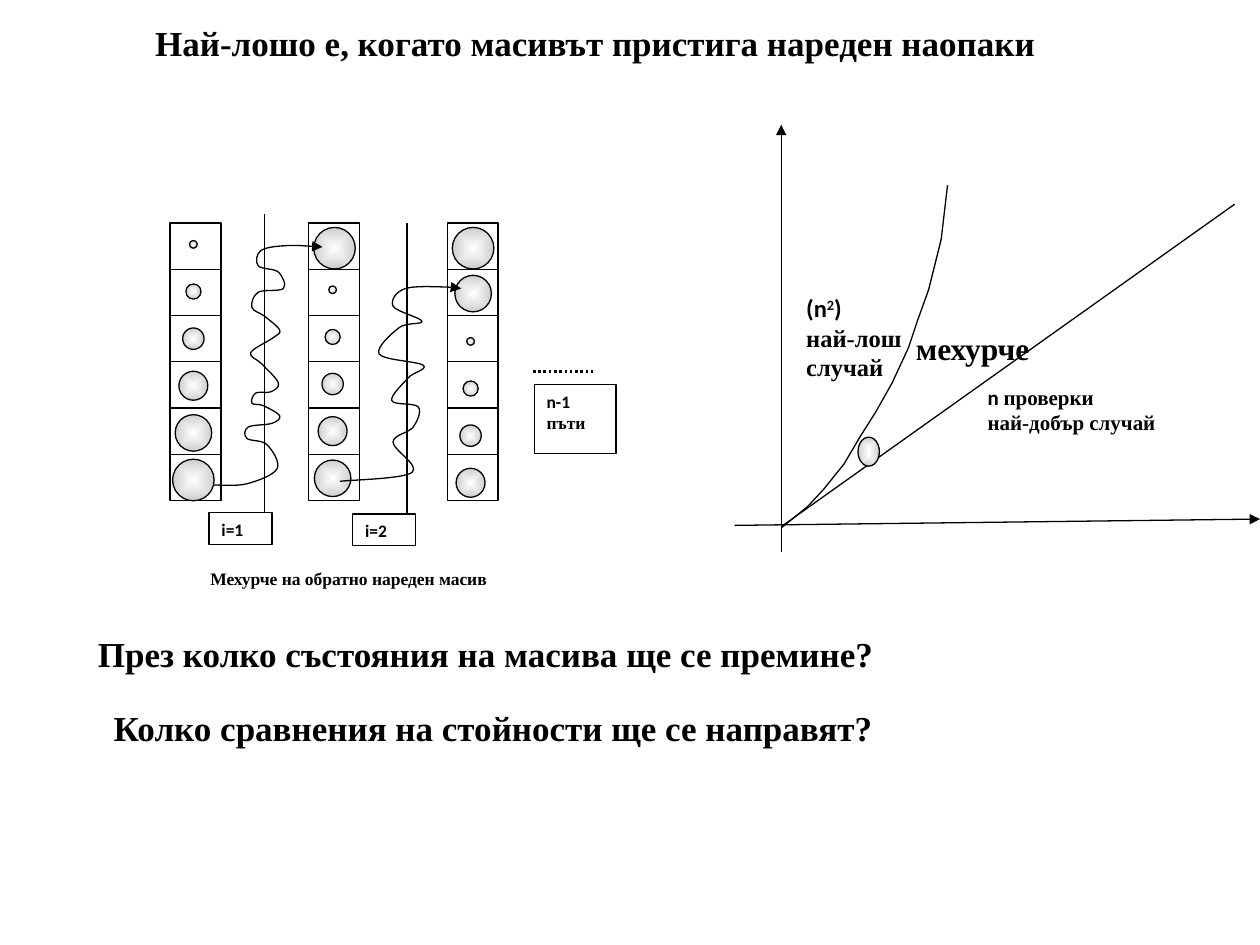
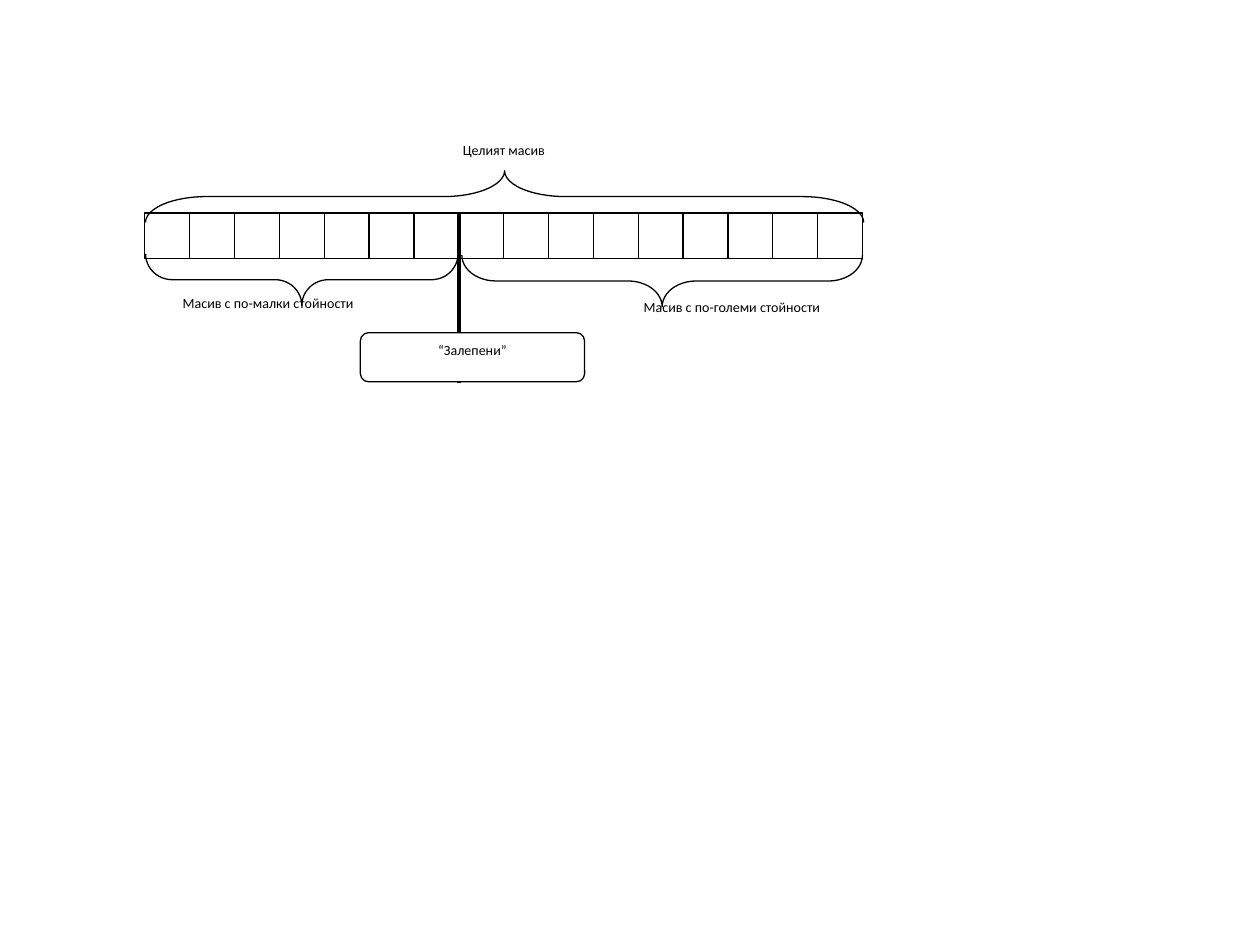
from lxml import etree
from pptx import Presentation
from pptx.dml.color import RGBColor
from pptx.enum.dml import MSO_LINE
from pptx.enum.shapes import MSO_CONNECTOR, MSO_SHAPE
from pptx.enum.text import MSO_ANCHOR, PP_ALIGN
from pptx.oxml.ns import qn
from pptx.util import Inches, Pt

LEFT, CENTER = PP_ALIGN.LEFT, PP_ALIGN.CENTER
TOP = MSO_ANCHOR.TOP
STRAIGHT = MSO_CONNECTOR.STRAIGHT
RECTANGLE = MSO_SHAPE.RECTANGLE
ROUNDED = MSO_SHAPE.ROUNDED_RECTANGLE
ELLIPSE = MSO_SHAPE.OVAL
BRACE = MSO_SHAPE.RIGHT_BRACE
DOTTED = MSO_LINE.ROUND_DOT

COLUMNS, ROWS = 100, 75
BLACK, WHITE, GRAY = "000000", "FFFFFF", "CECECE"
SERIF, SANS = "Times New Roman", "Calibri"


def color(value):
    return RGBColor.from_string(value)


def write(paragraph, text, font=SERIF, size=10, bold=True, baseline=0):
    run = paragraph.add_run()
    run.text = text
    run.font.name = font
    run.font.size = Pt(size)
    run.font.bold = bold
    run.font.color.rgb = color(BLACK)
    if baseline:
        run.font._element.set("baseline", str(baseline * 1000))


class Board:
    def __init__(self, presentation):
        self.presentation = presentation
        self.cell_width = presentation.slide_width / COLUMNS
        self.cell_height = presentation.slide_height / ROWS
        self.slide = None

    def new_slide(self):
        self.slide = self.presentation.slides.add_slide(self.presentation.slide_layouts[6])

    def place(self, column, row):
        return round(column * self.cell_width), round(row * self.cell_height)

    def stroke(self, line, width=0.75, dash=None, arrow=False):
        line.color.rgb = color(BLACK)
        line.width = Pt(width)
        if dash:
            line.dash_style = dash
        if arrow:
            etree.SubElement(line._get_or_add_ln(), qn("a:tailEnd"), type="triangle")

    def fill_text(self, frame, paragraphs, align=LEFT, wrap=True, **style):
        frame.word_wrap = wrap
        frame.vertical_anchor = TOP
        for index, runs in enumerate(paragraphs):
            paragraph = frame.add_paragraph() if index else frame.paragraphs[0]
            paragraph.alignment = align
            for text, changes in runs:
                write(paragraph, text, **{**style, **changes})

    def text(self, column, row, width, height, paragraphs, **style):
        box = self.slide.shapes.add_textbox(*self.place(column, row), *self.place(width, height))
        self.fill_text(box.text_frame, paragraphs, **style)

    def shape(self, kind, column, row, width, height, fill=WHITE, outlined=True):
        shape = self.slide.shapes.add_shape(
            kind, *self.place(column, row), *self.place(width, height))
        shape.shadow.inherit = False
        if fill:
            shape.fill.solid()
            shape.fill.fore_color.rgb = color(fill)
        else:
            shape.fill.background()
        if outlined:
            self.stroke(shape.line)
        else:
            shape.line.fill.background()
        return shape

    def box(self, column, row, width, height, paragraphs, kind=RECTANGLE, outlined=True, **style):
        shape = self.shape(kind, column, row, width, height, outlined=outlined)
        self.fill_text(shape.text_frame, paragraphs, **style)

    def heading(self, column, row, width, height, text, size=20):
        self.box(column, row, width, height, [[(text, {})]],
                 outlined=False, align=CENTER, size=size)

    def label(self, column, row, width, height, text):
        self.text(column, row, width, height, [[(text, {})]],
                  align=CENTER, font=SANS, size=8, bold=False)

    def cells(self, column, row, width, height, count, across=False):
        for index in range(count):
            self.shape(RECTANGLE, column + index * width * across,
                       row + index * height * (not across), width, height)

    def bubble(self, center_column, center_row, width, height):
        shape = self.shape(ELLIPSE, center_column - width / 2, center_row - height / 2,
                           width, height)
        shape.fill.gradient()
        for stop, value in zip(shape.fill.gradient_stops, (WHITE, GRAY)):
            stop.color.rgb = color(value)
        gradient = shape._element.spPr.find(qn("a:gradFill"))
        gradient.remove(gradient.find(qn("a:lin")))
        radial = etree.SubElement(gradient, qn("a:path"), {"path": "shape"})
        etree.SubElement(radial, qn("a:fillToRect"), l="50000", t="50000", r="50000", b="50000")

    def bubbles(self, center_column, center_row, diameters, step=3.74):
        for index, diameter in enumerate(diameters):
            self.bubble(center_column, center_row + index * step, diameter, diameter)

    def line(self, start, end, **style):
        connector = self.slide.shapes.add_connector(
            STRAIGHT, *self.place(*start), *self.place(*end))
        self.stroke(connector.line, **style)
        etree.SubElement(connector._element.spPr, qn("a:effectLst"))

    def polyline(self, points, **style):
        start, *rest = [self.place(*point) for point in points]
        builder = self.slide.shapes.build_freeform(*start)
        builder.add_line_segments(rest, close=False)
        shape = builder.convert_to_shape()
        shape.shadow.inherit = False
        shape.fill.background()
        self.stroke(shape.line, **style)
        return shape

    def curve(self, points, **style):
        geometry = self.polyline(points, **style)._element.spPr.find(qn("a:custGeom"))
        anchors = [(int(point.get("x")), int(point.get("y")))
                   for point in geometry.iter(qn("a:pt"))]
        padded = [anchors[0], *anchors, anchors[-1]]
        segments = list(geometry.iter(qn("a:lnTo")))
        for segment, before, start, end, after in zip(
                segments, padded, padded[1:], padded[2:], padded[3:]):
            first = [s + (e - b) / 6 for b, s, e in zip(before, start, end)]
            second = [e - (a - s) / 6 for s, e, a in zip(start, end, after)]
            bezier = etree.Element(qn("a:cubicBezTo"))
            for x, y in (first, second, end):
                etree.SubElement(bezier, qn("a:pt"), x=str(round(x)), y=str(round(y)))
            segment.getparent().replace(segment, bezier)

    def brace(self, center_column, center_row, span, depth, rotation, bend):
        shape = self.shape(BRACE, center_column - depth / 2, center_row - span / 2,
                           depth, span, fill=None)
        shape.rotation = rotation
        shape.adjustments[0] = bend
        shape.adjustments[1] = 0.5


def draw_growth_chart(board):
    board.line((58.3, 41.7), (100, 41.2), arrow=True)
    board.line((62, 43.8), (62, 9.9), arrow=True)
    board.line((62, 41.8), (98, 16.2))
    board.polyline([(62, 41.9), (64.1, 40.2), (65.4, 38.8), (67, 36.8), (68.3, 34.6),
                    (69.5, 32.7), (70.8, 30.4), (72.1, 27.6), (72.8, 25.5), (73.7, 23),
                    (74.7, 19), (75.2, 14.7)])
    board.text(77.4, 30, 16.4, 6, [
        [("n ", {"font": SANS}), ("проверки ", {})],
        [("най-добър случай", {})]], size=12)
    board.text(63, 22.8, 10.3, 5.6, [
        [("(n", {"font": SANS}), ("2", {"font": SANS, "baseline": 30}), (")", {"font": SANS})],
        [("най-лош случай", {})]], size=14)
    board.text(71.7, 25.6, 11.1, 4, [[("мехурче", {})]], size=18, wrap=False)
    board.bubble(68.95, 35.85, 1.7, 2.3)


def draw_sorting_passes(board):
    diameters = [0.6, 1.2, 1.7, 2.3, 2.9, 3.3]
    for column in (13.5, 24.5, 35.5):
        board.cells(column, 17.7, 4.04, 3.67, 6)
    board.bubbles(15.35, 19.4, diameters)
    board.bubbles(26.4, 23, diameters[:5])
    board.bubbles(26.55, 19.7, diameters[5:])
    board.bubbles(37.35, 27.1, diameters[:4])
    board.bubbles(37.55, 19.7, diameters[:3:-1], step=3.6)

    board.line((21, 40.7), (21, 17))
    board.line((32.3, 40.8), (32.3, 17.7))
    board.box(16.6, 40.7, 5, 2.5, [[("i=1", {})]], font=SANS)
    board.box(28, 40.8, 5, 2.5, [[("i=2", {})]], font=SANS)
    board.box(42.4, 30.5, 6.5, 5.5, [[("n-1", {"font": SANS})], [("пъти", {})]])
    board.line((42.3, 29.5), (47.3, 29.5), width=1.5, dash=DOTTED)

    board.curve([(17, 38.5), (19.6, 38.4), (22, 37.2), (21.2, 35.3), (19.6, 34.8),
                 (19.7, 33.9), (21.6, 33.6), (22.2, 33), (20.9, 32.2), (20, 32),
                 (20.3, 31.2), (21.5, 31.1), (22.1, 30.4), (20.8, 28.9), (19.9, 28),
                 (21.7, 26.8), (22.2, 26.2), (21, 25.1), (20, 24.4), (20.5, 23.2),
                 (22.5, 22.9), (22.1, 21.6), (20.5, 21.1), (20.7, 19.9), (22.7, 19.5),
                 (25.6, 19.6)], arrow=True)
    board.curve([(27, 38.2), (32.7, 37.5), (31.2, 35.1), (32.8, 33.9), (33.2, 32.3),
                 (31.1, 31.8), (32.4, 30), (33.6, 29), (30.1, 28.1), (31.7, 26),
                 (33.5, 25.5), (31.2, 24.3), (32.2, 22.9), (36, 22.8), (36.6, 22.9)],
                arrow=True)
    board.heading(8.9, 44.6, 37.5, 2.5, "Мехурче на обратно нареден масив", size=10)


def draw_worst_case(board):
    board.new_slide()
    draw_growth_chart(board)
    draw_sorting_passes(board)
    board.heading(0.6, 1.2, 93.3, 6.4, "Най-лошо е, когато масивът пристига нареден наопаки")
    board.heading(-2.7, 49.7, 82.5, 7.1, "През колко състояния на масива ще се премине?")
    board.heading(-7.5, 55.6, 93.3, 7.1, "Колко сравнения на стойности ще се направят?")


def draw_partition(board):
    board.new_slide()
    board.cells(11.5, 16.9, 3.56, 3.6, 16, across=True)
    board.line((36.4, 16.9), (36.4, 30.4), width=2.25)
    board.label(29.3, 10.7, 21.4, 4.1, "Целият масив")
    board.box(28.6, 26.4, 17.8, 3.9, [[("“Залепени”", {})]], kind=ROUNDED,
              align=CENTER, font=SANS, size=8, bold=False)
    board.label(10.6, 22.9, 21.4, 6, "Масив с по-малки стойности")
    board.label(46.5, 23.2, 23.2, 6.5, "Масив с по-големи стойности")
    board.brace(23.95, 22.2, 24.8, 4.1, 90, 0.515)
    board.brace(52.55, 22.3, 31.8, 4.1, 90, 0.66)
    board.brace(40.05, 15.6, 57, 4.1, 270, 1.185)


presentation = Presentation()
presentation.slide_width = Inches(10)
presentation.slide_height = Inches(7.5)
board = Board(presentation)
draw_worst_case(board)
draw_partition(board)
presentation.save("out.pptx")
